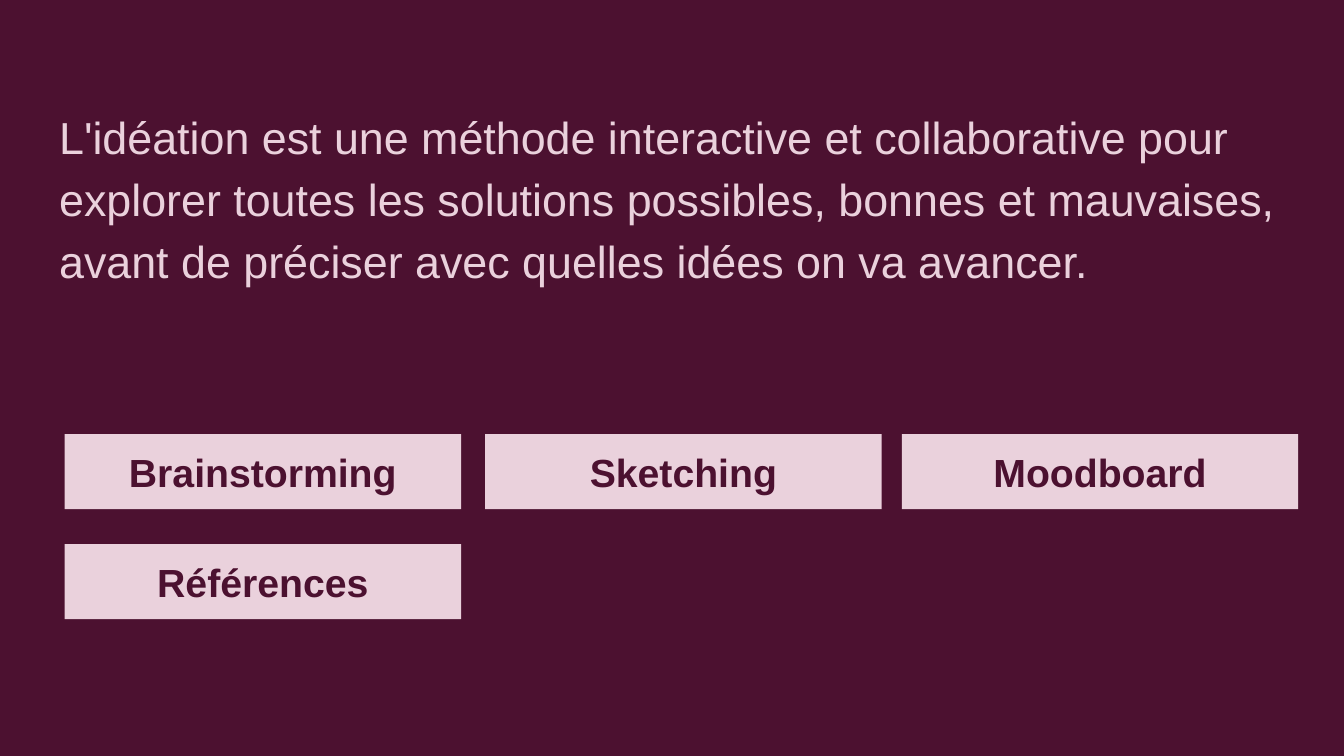
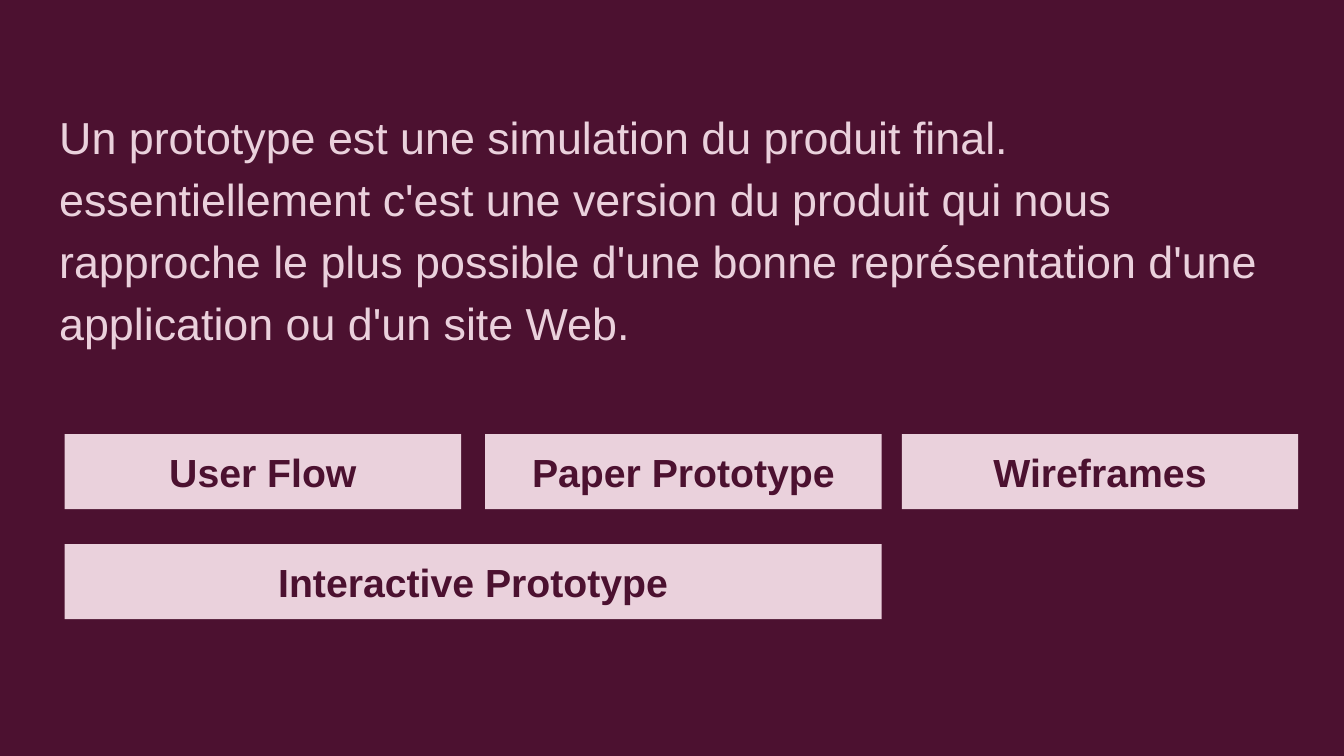
"""Build two slides that define a design step and list its methods."""
from lxml import etree
from pptx import Presentation
from pptx.dml.color import RGBColor
from pptx.enum.shapes import MSO_SHAPE
from pptx.enum.text import MSO_ANCHOR, MSO_AUTO_SIZE, PP_ALIGN
from pptx.oxml.ns import qn
from pptx.util import Pt

RECTANGLE = MSO_SHAPE.RECTANGLE
TOP, MIDDLE = MSO_ANCHOR.TOP, MSO_ANCHOR.MIDDLE
NO_AUTOFIT = MSO_AUTO_SIZE.NONE
LEFT, CENTER = PP_ALIGN.LEFT, PP_ALIGN.CENTER

COLORS = {"plum": "4C1130", "pink": "EAD1DC"}
FONT = "Arial"
INSET = 7.2
COLUMN_LEFTS = [34.6, 259.9, 483.1]
ROW_TOPS = [232.6, 291.6]
LABEL_WIDTH, LABEL_HEIGHT = 212.4, 40.2

SLIDES = [
    (
        "L'idéation est une méthode interactive et collaborative pour explorer "
        "toutes les solutions possibles, bonnes et mauvaises, avant de préciser "
        "avec quelles idées on va avancer.",
        [("Brainstorming", 0, 0, 1), ("Sketching", 0, 1, 1),
         ("Moodboard", 0, 2, 1), ("Références", 1, 0, 1)],
    ),
    (
        "Un prototype est une simulation du produit final. essentiellement c'est "
        "une version du produit qui nous rapproche le plus possible d'une bonne "
        "représentation d'une application ou d'un site Web.",
        [("User Flow", 0, 0, 1), ("Paper Prototype", 0, 1, 1),
         ("Wireframes", 0, 2, 1), ("Interactive Prototype", 1, 0, 2)],
    ),
]


def write_text(shape, text, size, color, bold, alignment, anchor):
    text_frame = shape.text_frame
    text_frame.text = text
    text_frame.word_wrap = True
    text_frame.auto_size = NO_AUTOFIT
    text_frame.vertical_anchor = anchor
    text_frame.margin_left = text_frame.margin_right = Pt(INSET)
    text_frame.margin_top = text_frame.margin_bottom = Pt(INSET)
    paragraph = text_frame.paragraphs[0]
    paragraph.alignment = alignment
    font = paragraph.runs[0].font
    font.name = FONT
    font.size = Pt(size)
    font.bold = bold
    font.color.rgb = RGBColor.from_string(COLORS[color])
    return paragraph


presentation = Presentation()
presentation.slide_width = Pt(720)
presentation.slide_height = Pt(405)
background = presentation.slide_master.background.fill
background.solid()
background.fore_color.rgb = RGBColor.from_string(COLORS["plum"])

for definition, methods in SLIDES:
    slide = presentation.slides.add_slide(presentation.slide_layouts[1])
    title = slide.shapes.title.element
    title.getparent().remove(title)

    body = slide.placeholders[1]
    body.left, body.top = Pt(24.5), Pt(47.5)
    body.width, body.height = Pt(671), Pt(269.3)
    paragraph = write_text(body, definition, 24, "pink", False, LEFT, TOP)
    paragraph.line_spacing = 1.15
    paragraph.space_before = Pt(0)
    paragraph.space_after = Pt(12)
    properties = paragraph._p.get_or_add_pPr()
    properties.set("marL", "0")
    properties.set("indent", "0")
    etree.SubElement(properties, qn("a:buNone"))

    for name, row, column, span in methods:
        left = COLUMN_LEFTS[column]
        width = COLUMN_LEFTS[column + span - 1] + LABEL_WIDTH - left
        label = slide.shapes.add_shape(
            RECTANGLE, Pt(left), Pt(ROW_TOPS[row]), Pt(width), Pt(LABEL_HEIGHT))
        label.shadow.inherit = False
        label.fill.solid()
        label.fill.fore_color.rgb = RGBColor.from_string(COLORS["pink"])
        label.line.fill.background()
        write_text(label, name, 21, "plum", True, CENTER, MIDDLE)

presentation.save("out.pptx")
